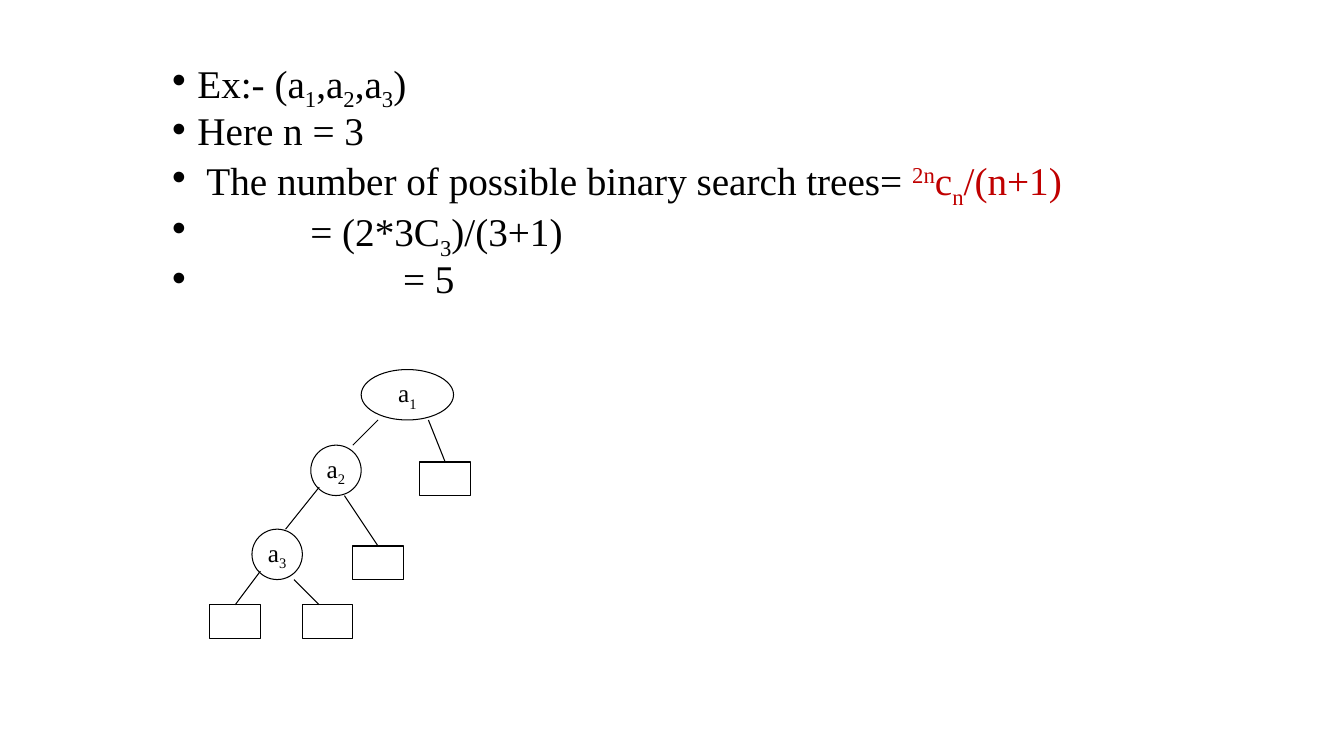
from lxml import etree
from pptx import Presentation
from pptx.dml.color import RGBColor
from pptx.enum.shapes import MSO_CONNECTOR, MSO_SHAPE
from pptx.enum.text import MSO_ANCHOR, MSO_AUTO_SIZE, PP_ALIGN
from pptx.oxml.ns import qn
from pptx.util import Inches, Pt

OVAL, RECTANGLE = MSO_SHAPE.OVAL, MSO_SHAPE.RECTANGLE
STRAIGHT = MSO_CONNECTOR.STRAIGHT
TOP, MIDDLE = MSO_ANCHOR.TOP, MSO_ANCHOR.MIDDLE
CENTER = PP_ALIGN.CENTER
NO_AUTOFIT = MSO_AUTO_SIZE.NONE

COLORS = {"ink": "000000", "paper": "FFFFFF", "formula": "C00000"}
FONT = "Times New Roman"
COLUMNS, ROWS = 160, 90  # twelve grid cells to the inch
SUB, SUPER = -25000, 30000

# Each bullet: hanging indent in inches, then runs of (text, baseline, colour)
BULLETS = [
    (0.25, [("Ex:- (a", 0, "ink"), ("1", SUB, "ink"), (",a", 0, "ink"),
            ("2", SUB, "ink"), (",a", 0, "ink"), ("3", SUB, "ink"),
            (")", 0, "ink")]),
    (0.25, [("Here n = 3", 0, "ink")]),
    (0.25, [(" The number of possible binary search trees= ", 0, "ink"),
            ("2n", SUPER, "formula"), ("c", 0, "formula"),
            ("n", SUB, "formula"), ("/(n+1)", 0, "formula")]),
    (1.37, [("= (2*3C", 0, "ink"), ("3", SUB, "ink"), (")/(3+1)", 0, "ink")]),
    (2.29, [("= 5", 0, "ink")]),
]

# Tree parts in grid cells
KEYS = [("1", 43, 44, 11), ("2", 37, 53, 6), ("3", 30, 63, 6)]
LEAVES = [(25, 72), (36, 72), (42, 65), (50, 55)]
EDGES = [(34, 63, 38, 58), (42, 53, 45, 50), (31, 68, 28, 72),
         (41, 59, 45, 65), (35, 69, 38, 72), (51, 50, 53, 55)]


def grid(*cells):
    return [Inches(cell / 12) for cell in cells]


def color(name):
    return RGBColor.from_string(COLORS[name])


def add_runs(paragraph, runs, size):
    for text, baseline, color_name in runs:
        run = paragraph.add_run()
        run.text = text
        run.font.name = FONT
        run.font.size = Pt(size)
        run.font.color.rgb = color(color_name)
        if baseline:
            run._r.get_or_add_rPr().set("baseline", str(baseline))


def style_line(line):
    line.color.rgb = color("ink")
    line.width = Pt(0.75)


def fill_bullets(body):
    body.left, body.top, body.width, body.height = grid(19.3, 7, 114.6, 30)
    frame = body.text_frame
    frame.auto_size = NO_AUTOFIT
    frame.vertical_anchor = TOP
    for index, (indent, runs) in enumerate(BULLETS):
        paragraph = frame.add_paragraph() if index else frame.paragraphs[0]
        paragraph.line_spacing = 0.8
        paragraph.space_before = Pt(6)
        properties = paragraph._p.get_or_add_pPr()
        properties.set("marL", str(Inches(indent)))
        properties.set("indent", str(-Inches(indent)))
        add_runs(paragraph, runs, 28)


def add_node(slide, kind, column, row, width, height):
    shape = slide.shapes.add_shape(kind, *grid(column, row, width, height))
    shape.shadow.inherit = False
    shape.fill.solid()
    shape.fill.fore_color.rgb = color("paper")
    style_line(shape.line)
    return shape


def add_key(slide, number, column, row, width):
    frame = add_node(slide, OVAL, column, row, width, 6).text_frame
    frame.word_wrap = False
    frame.vertical_anchor = MIDDLE
    paragraph = frame.paragraphs[0]
    paragraph.alignment = CENTER
    add_runs(paragraph, [("a", 0, "ink"), (number, SUB, "ink")], 18)


def add_edge(slide, *ends):
    connector = slide.shapes.add_connector(STRAIGHT, *grid(*ends))
    style_line(connector.line)
    etree.SubElement(connector._element.spPr, qn("a:effectLst"))


def main():
    presentation = Presentation()
    presentation.slide_width, presentation.slide_height = grid(COLUMNS, ROWS)
    slide = presentation.slides.add_slide(presentation.slide_layouts[1])

    # Worked example; the slide has no title
    title = slide.shapes.title._element
    title.getparent().remove(title)
    fill_bullets(slide.placeholders[1])

    # Binary search tree
    for key in KEYS:
        add_key(slide, *key)
    for column, row in LEAVES:
        add_node(slide, RECTANGLE, column, row, 6, 4)
    for edge in EDGES:
        add_edge(slide, *edge)

    presentation.save("out.pptx")


if __name__ == "__main__":
    main()
